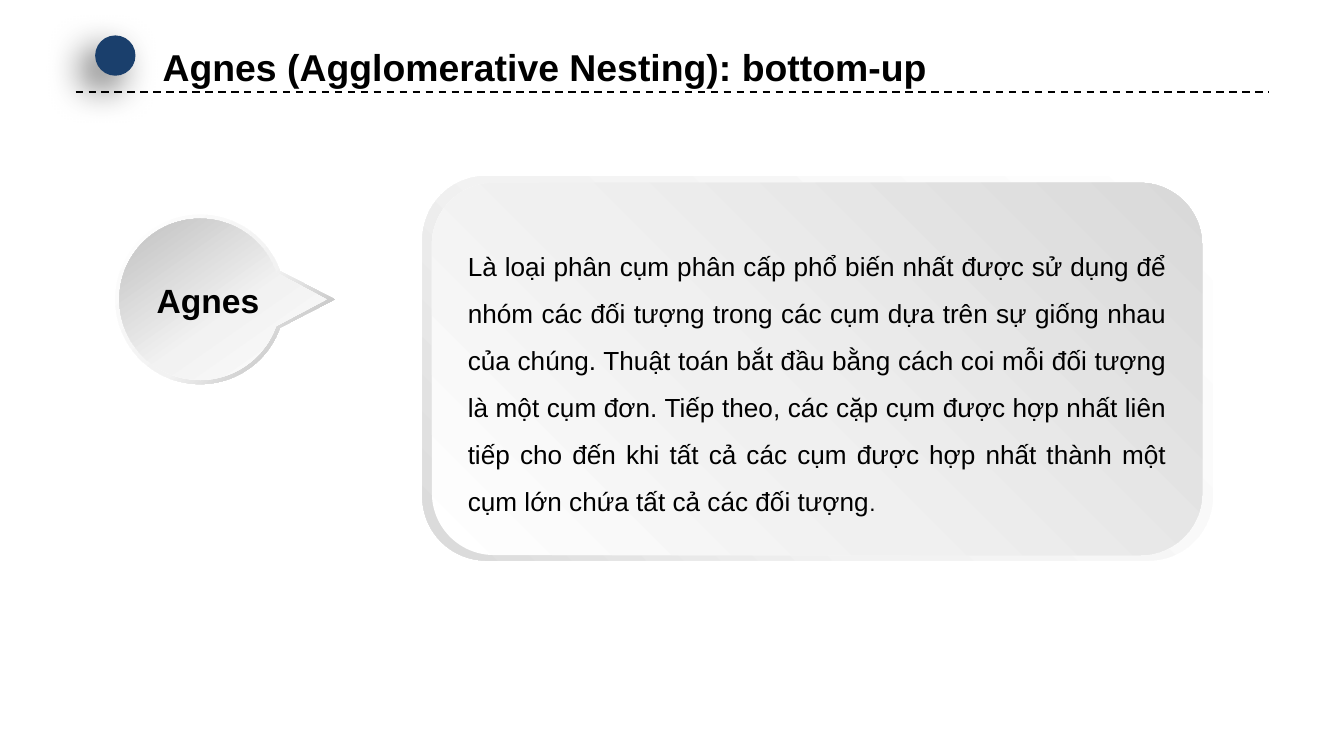
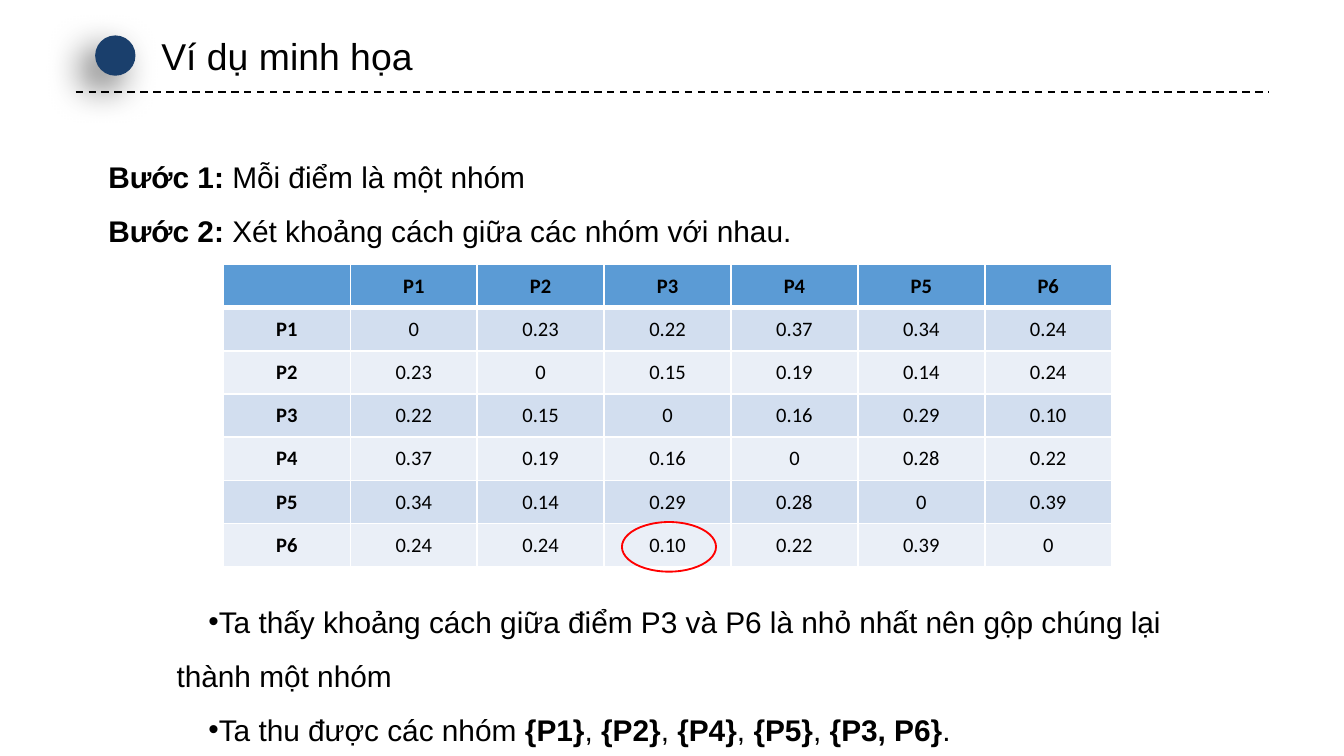
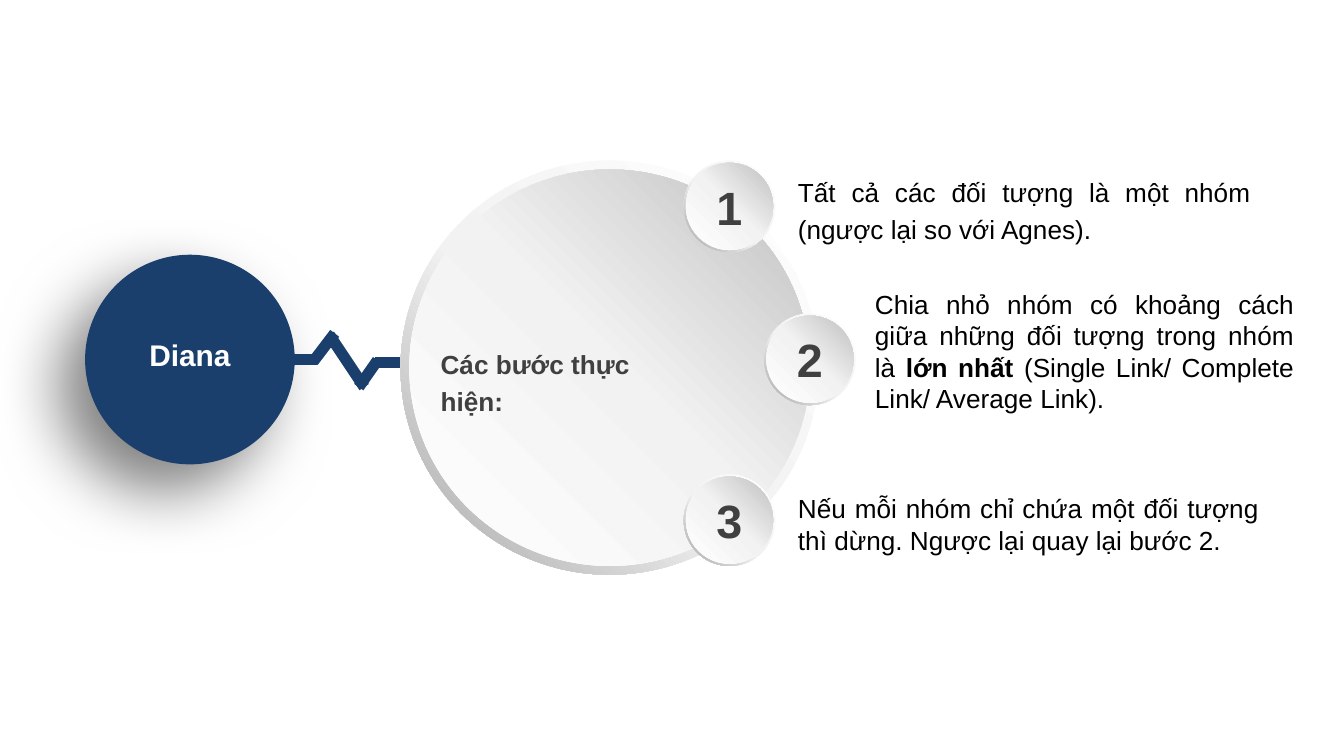
import math

from lxml import etree
from pptx import Presentation
from pptx.dml.color import RGBColor
from pptx.enum.dml import MSO_LINE
from pptx.enum.shapes import MSO_CONNECTOR, MSO_SHAPE
from pptx.enum.text import MSO_ANCHOR, MSO_AUTO_SIZE, PP_ALIGN
from pptx.oxml.ns import qn
from pptx.util import Pt

BLACK = RGBColor(0x00, 0x00, 0x00)
WHITE = RGBColor(0xFF, 0xFF, 0xFF)
NAVY = RGBColor(0x1A, 0x3F, 0x6C)
CHARCOAL = RGBColor(0x40, 0x40, 0x40)
RED = RGBColor(0xFF, 0x00, 0x00)
PALE_GRAY = RGBColor(0xF2, 0xF2, 0xF2)
PANEL_GRAY = RGBColor(0xF0, 0xF0, 0xF0)
LIGHT_GRAY = RGBColor(0xD9, 0xD9, 0xD9)
SILVER = RGBColor(0xBF, 0xBF, 0xBF)
DARK_GRAY = RGBColor(0xA6, 0xA6, 0xA6)
HEADER_BLUE = RGBColor(0x5B, 0x9B, 0xD5)
BAND_BLUE = RGBColor(0xD2, 0xDE, 0xEF)
BAND_PALE = RGBColor(0xEA, 0xEF, 0xF7)

RIM = [(0, WHITE), (55, PALE_GRAY), (100, DARK_GRAY)]
DISC = [(0, WHITE), (51, PALE_GRAY), (100, SILVER)]
DROP = [(0, WHITE), (43, PALE_GRAY), (100, SILVER)]
PANEL_RIM = [(0, WHITE), (62, PALE_GRAY), (100, LIGHT_GRAY)]
PANEL = [(0, WHITE), (42, PANEL_GRAY), (100, LIGHT_GRAY)]

LEFT, CENTER, JUSTIFY = PP_ALIGN.LEFT, PP_ALIGN.CENTER, PP_ALIGN.JUSTIFY
TOP, MIDDLE = MSO_ANCHOR.TOP, MSO_ANCHOR.MIDDLE
ELLIPSE, DONUT = MSO_SHAPE.OVAL, MSO_SHAPE.DONUT
ROUNDED = MSO_SHAPE.ROUNDED_RECTANGLE
STRAIGHT = MSO_CONNECTOR.STRAIGHT
DASH = MSO_LINE.DASH
GROW, FIXED = MSO_AUTO_SIZE.SHAPE_TO_FIT_TEXT, MSO_AUTO_SIZE.NONE

POINTS = ["P1", "P2", "P3", "P4", "P5", "P6"]
DISTANCES = [
    ["0", "0.23", "0.22", "0.37", "0.34", "0.24"],
    ["0.23", "0", "0.15", "0.19", "0.14", "0.24"],
    ["0.22", "0.15", "0", "0.16", "0.29", "0.10"],
    ["0.37", "0.19", "0.16", "0", "0.28", "0.22"],
    ["0.34", "0.14", "0.29", "0.28", "0", "0.39"],
    ["0.24", "0.24", "0.10", "0.22", "0.39", "0"],
]
ZIGZAG = [
    (133.9, 192.8, 169.9, 192.8),
    (200.9, 194.4, 230.4, 194.4),
    (167.8, 193.7, 179.3, 178.6),
    (192.2, 207.4, 202.3, 193),
    (195.1, 207.4, 176.4, 179.3),
]


def points(*lengths):
    return [Pt(length) for length in lengths]


def write_paragraph(paragraph, text, size, color=BLACK, bold=False,
                    align=LEFT, spacing=1.0, font="Arial"):
    paragraph.alignment = align
    paragraph.line_spacing = spacing
    paragraph.font.name = font
    paragraph.font.size = Pt(size)
    paragraph.font.color.rgb = color
    pieces = text.split("*")
    if len(pieces) == 1:
        paragraph.font.bold = bold
    for index, piece in enumerate(pieces):
        if piece:
            run = paragraph.add_run()
            run.text = piece
            if len(pieces) > 1:
                run.font.bold = index % 2 == 1


def add_text(slide, box, texts, size, inset=False, wrap=True, **style):
    shape = slide.shapes.add_textbox(*points(*box))
    frame = shape.text_frame
    frame.word_wrap = wrap
    frame.auto_size = GROW
    if not inset:
        frame.margin_left = frame.margin_right = 0
        frame.margin_top = frame.margin_bottom = 0
    for index, text in enumerate(texts):
        paragraph = frame.add_paragraph() if index else frame.paragraphs[0]
        write_paragraph(paragraph, text, size, **style)
    return frame.paragraphs


def add_bullet(paragraph, margin, indent):
    properties = paragraph._p.get_or_add_pPr()
    properties.set("marL", str(Pt(margin)))
    properties.set("indent", str(Pt(indent)))
    defaults = properties.find(qn("a:defRPr"))
    defaults.addprevious(etree.Element(qn("a:buFont"), typeface="Arial"))
    defaults.addprevious(etree.Element(qn("a:buChar"), char="•"))


def add_color(parent, color):
    return etree.SubElement(parent, qn("a:srgbClr"), val=str(color))


def fill_gradient(shape, stops, angle):
    shape.fill.gradient()
    shape.fill.gradient_angle = angle
    stop_list = shape._element.spPr.find(qn("a:gradFill")).find(qn("a:gsLst"))
    for stop in list(stop_list):
        stop_list.remove(stop)
    for position, color in stops:
        add_color(etree.SubElement(stop_list, qn("a:gs"), pos=str(position * 1000)), color)
    shape.line.fill.background()
    shape.shadow.inherit = False


def add_gradient_shape(slide, kind, box, stops, angle):
    shape = slide.shapes.add_shape(kind, *points(*box))
    fill_gradient(shape, stops, angle)
    return shape


def add_shadowed_circle(slide, left, top, size, opacity, blur, distance):
    circle = slide.shapes.add_shape(ELLIPSE, *points(left, top, size, size))
    circle.fill.solid()
    circle.fill.fore_color.rgb = NAVY
    circle.line.fill.background()
    circle.shadow.inherit = False
    effects = circle._element.spPr.find(qn("a:effectLst"))
    shadow = etree.SubElement(effects, qn("a:outerShdw"), blurRad=str(Pt(blur)),
                              dist=str(Pt(distance)), dir=str(135 * 60000),
                              algn="ctr", rotWithShape="0")
    etree.SubElement(add_color(shadow, BLACK), qn("a:alpha"), val=str(opacity * 1000))


def add_line(slide, ends, color, width, dash=None):
    line = slide.shapes.add_connector(STRAIGHT, *points(*ends))
    line.line.color.rgb = color
    line.line.width = Pt(width)
    if dash:
        line.line.dash_style = dash
    etree.SubElement(line._element.spPr, qn("a:effectLst"))


def add_header(slide, text, box, **style):
    add_line(slide, (40.5, 49.2, 679.5, 49.2), BLACK, 1, DASH)
    add_shadowed_circle(slide, 51, 19, 21.6, 60, 20, 10)
    title = slide.shapes.title
    title.left, title.top, title.width, title.height = points(*box)
    frame = title.text_frame
    frame.word_wrap = False
    frame.auto_size = FIXED
    frame.vertical_anchor = TOP
    write_paragraph(frame.paragraphs[0], text, 20, **style)


def bend_segment(segment, shape, controls):
    curve = etree.Element(qn("a:cubicBezTo"))
    for x, y in controls:
        etree.SubElement(curve, qn("a:pt"), x=str(Pt(x) - shape.left),
                         y=str(Pt(y) - shape.top))
    segment.addprevious(curve)
    curve.append(segment[0])
    segment.getparent().remove(segment)


def add_pointer(slide, radius, tip, stops, angle):
    center_x, center_y, notch = 107.2, 160.4, 19.5
    angles = [math.radians(degree) for degree in (notch, 90, 180, 270, 360 - notch)]
    anchors = [(center_x + radius * math.cos(turn), center_y + radius * math.sin(turn))
               for turn in angles]
    builder = slide.shapes.build_freeform(Pt(tip), Pt(center_y))
    builder.add_line_segments([points(*anchor) for anchor in anchors], close=True)
    shape = builder.convert_to_shape()
    segments = list(shape._element.spPr.iter(qn("a:lnTo")))[1:5]
    for index, segment in enumerate(segments):
        start, end = angles[index], angles[index + 1]
        reach = 4 / 3 * math.tan((end - start) / 4) * radius
        (start_x, start_y), (end_x, end_y) = anchors[index], anchors[index + 1]
        bend_segment(segment, shape, [
            (start_x - reach * math.sin(start), start_y + reach * math.cos(start)),
            (end_x + reach * math.sin(end), end_y - reach * math.cos(end)),
        ])
    fill_gradient(shape, stops, angle)


def add_ringed_disc(slide, left, top, width, height, inset):
    ring = add_gradient_shape(slide, DONUT, (left, top, width, height), RIM, 225)
    ring.adjustments[0] = 0.049
    inner = (left + inset, top + inset, width - 2 * inset, height - 2 * inset)
    return add_gradient_shape(slide, ELLIPSE, inner, DISC, 45)


def add_number(slide, number, left, top):
    disc = add_ringed_disc(slide, left, top, 49, 49, 1.1)
    disc.text_frame.vertical_anchor = MIDDLE
    write_paragraph(disc.text_frame.paragraphs[0], number, 25,
                    color=CHARCOAL, bold=True, align=CENTER)


def set_borders(cell, bottom_width):
    properties = cell._tc.get_or_add_tcPr()
    widths = {"a:lnL": 1, "a:lnR": 1, "a:lnT": 1, "a:lnB": bottom_width}
    for index, (tag, width) in enumerate(widths.items()):
        border = etree.Element(qn(tag), w=str(Pt(width)))
        add_color(etree.SubElement(border, qn("a:solidFill")), WHITE)
        properties.insert(index, border)


def add_distance_table(slide):
    rows = [[""] + POINTS]
    rows += [[name] + values for name, values in zip(POINTS, DISTANCES)]
    table = slide.shapes.add_table(len(rows), len(rows[0]),
                                   *points(119.7, 141.7, 476, 162)).table
    for row, values in enumerate(rows):
        for column, value in enumerate(values):
            cell = table.cell(row, column)
            cell.fill.solid()
            band = BAND_BLUE if row % 2 else BAND_PALE
            cell.fill.fore_color.rgb = band if row else HEADER_BLUE
            set_borders(cell, 1 if row else 3)
            cell.vertical_anchor = MIDDLE
            cell.margin_left = cell.margin_right = Pt(5.4)
            cell.margin_top = cell.margin_bottom = Pt(2.7)
            paragraph = cell.text_frame.paragraphs[0]
            write_paragraph(paragraph, value, 11, bold=row == 0 or column == 0,
                            align=CENTER, font="Calibri")
            etree.SubElement(paragraph._p, qn("a:endParaRPr"), sz="1100")


def build_agnes(slide):
    add_header(slide, "Agnes (Agglomerative Nesting): bottom-up",
               (79.9, 7.9, 427, 38.9), bold=True, spacing=1.5)
    add_pointer(slide, 45.4, 179.3, RIM, 315)
    add_pointer(slide, 43.2, 175, DROP, 125)
    add_gradient_shape(slide, ROUNDED, (226.3, 94.3, 423.4, 206), PANEL_RIM, 225)
    add_gradient_shape(slide, ROUNDED, (231.4, 98, 412.6, 199.4), PANEL, 45)
    description = add_text(
        slide, (250.6, 125.7, 374.4, 152.6),
        ["Là loại phân cụm phân cấp phổ biến nhất được sử dụng để nhóm các đối tượng "
         "trong các cụm dựa trên sự giống nhau của chúng. Thuật toán bắt đầu bằng cách "
         "coi mỗi đối tượng là một cụm đơn. Tiếp theo, các cặp cụm được hợp nhất liên "
         "tiếp cho đến khi tất cả các cụm được hợp nhất thành một cụm lớn chứa tất cả "
         "các đối tượng"], 14, align=JUSTIFY, spacing=1.5)
    full_stop = description[0].add_run()
    full_stop.text = "."
    full_stop.font.size = Pt(12)
    add_text(slide, (61.7, 149.8, 99.4, 21.6), ["Agnes"], 18, bold=True, align=CENTER)


def build_example(slide):
    add_header(slide, "Ví dụ minh họa", (79.2, 14.4, 150.5, 31.7))
    add_text(slide, (51, 71.8, 617.8, 65.5),
             ["*Bước 1:* Mỗi điểm là một nhóm",
              "*Bước 2: *Xét khoảng cách giữa các nhóm với nhau."],
             16, inset=True, spacing=1.5)
    add_distance_table(slide)
    conclusions = add_text(
        slide, (51, 310.4, 617.8, 94.3),
        ["Ta thấy khoảng cách giữa điểm P3 và P6 là nhỏ nhất nên gộp chúng lại thành một nhóm",
         "Ta thu được các nhóm *{P1}*, *{P2}*, *{P4}*, *{P5}*, *{P3, P6}*."],
        16, inset=True, spacing=1.5)
    for paragraph in conclusions:
        add_bullet(paragraph, 36.5, 17.1)
    highlight = slide.shapes.add_shape(ELLIPSE, *points(333.2, 279.7, 50.4, 26.6))
    highlight.fill.background()
    highlight.line.color.rgb = RED
    highlight.line.width = Pt(1)
    highlight.shadow.inherit = False


def build_diana(slide):
    add_shadowed_circle(slide, 45.6, 136.5, 112.3, 50, 35, 20)
    for ends in ZIGZAG:
        add_line(slide, ends, NAVY, 6)
    add_ringed_disc(slide, 214.6, 86.1, 224, 221.8, 4.7)
    add_number(slide, "1", 366.3, 86.1)
    add_number(slide, "2", 409.4, 168)
    add_number(slide, "3", 366.3, 254.2)
    add_text(slide, (79.8, 180.3, 43.9, 19.4), ["Diana"], 16, wrap=False,
             color=WHITE, bold=True, align=CENTER)
    add_text(slide, (427.5, 91, 242.6, 38.9),
             ["Tất cả các đối tượng là một nhóm (ngược lại so với Agnes)."],
             14, align=JUSTIFY, spacing=1.2)
    add_text(slide, (468.7, 154.5, 224.6, 67.7),
             ["Chia nhỏ nhóm có khoảng cách giữa những đối tượng trong nhóm là "
              "*lớn nhất* (Single Link/ Complete Link/ Average Link)."],
             14, align=JUSTIFY)
    add_text(slide, (427.5, 264, 247, 33.8),
             ["Nếu mỗi nhóm chỉ chứa một đối tượng thì dừng. Ngược lại quay lại bước 2."],
             14, align=JUSTIFY)
    add_text(slide, (236, 183.2, 138.2, 20.2), ["Các bước thực hiện:"], 14,
             color=CHARCOAL, bold=True, spacing=1.2)


def main():
    presentation = Presentation()
    presentation.slide_width, presentation.slide_height = points(720, 405)
    title_only, blank = presentation.slide_layouts[5], presentation.slide_layouts[6]
    build_agnes(presentation.slides.add_slide(title_only))
    build_example(presentation.slides.add_slide(title_only))
    build_diana(presentation.slides.add_slide(blank))
    presentation.save("out.pptx")


main()
